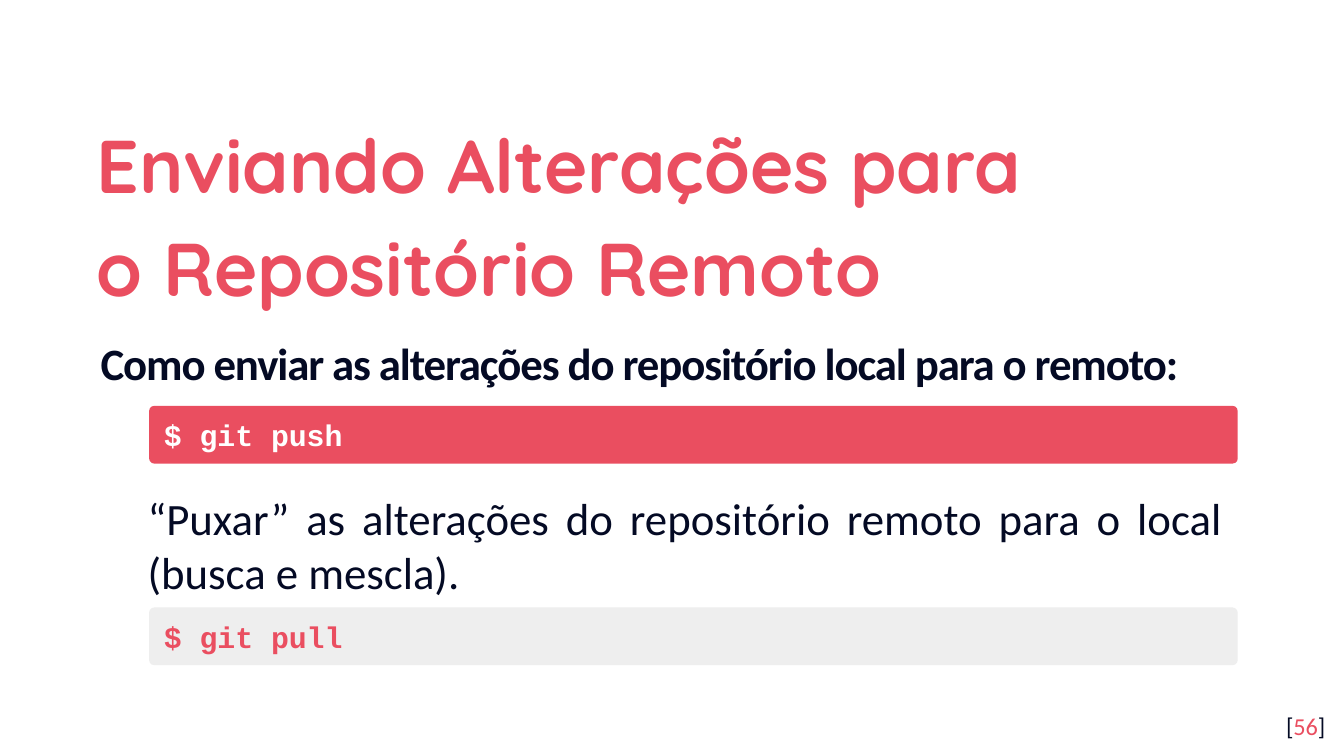
from pptx import Presentation
from pptx.dml.color import RGBColor
from pptx.enum import shapes, text
from pptx.util import Inches, Pt

CORAL = RGBColor(0xEA, 0x4E, 0x60)
NAVY = RGBColor(0x04, 0x0A, 0x24)
GRAY = RGBColor(0xEE, 0xEE, 0xEE)
WHITE = RGBColor(0xFF, 0xFF, 0xFF)


def set_font(font, name, size, color, bold=False):
    font.name, font.size, font.bold = name, Pt(size), bold
    font.color.rgb = color


def set_frame(frame, anchor, inset=0.1):
    frame.word_wrap = True
    frame.auto_size = text.MSO_AUTO_SIZE.NONE
    frame.vertical_anchor = anchor
    frame.margin_left = frame.margin_right = Inches(0.1)
    frame.margin_top = frame.margin_bottom = Inches(inset)


def add_title(slide, left, top, width, height, wording):
    title = slide.shapes.title
    title.left, title.top = Inches(left), Inches(top)
    title.width, title.height = Inches(width), Inches(height)
    set_frame(title.text_frame, text.MSO_ANCHOR.MIDDLE)
    paragraph = title.text_frame.paragraphs[0]
    paragraph.text = wording
    paragraph.alignment = text.PP_ALIGN.LEFT
    paragraph.line_spacing = 1.15
    set_font(paragraph.font, "Quicksand", 40, CORAL, bold=True)


def add_explanation(slide, left, top, width, height, wording, bold=False, tracking=0):
    box = slide.shapes.add_textbox(Inches(left), Inches(top), Inches(width), Inches(height))
    set_frame(box.text_frame, text.MSO_ANCHOR.TOP, inset=0.05)
    paragraph = box.text_frame.paragraphs[0]
    paragraph.alignment = text.PP_ALIGN.JUSTIFY
    # Indent and letter spacing (hundredths of a point)
    properties = paragraph._p.get_or_add_pPr()
    properties.set("marL", str(Inches(0.08)))
    properties.set("indent", "0")
    run = paragraph.add_run()
    run.text = wording
    set_font(paragraph.font, "Calibri", 24, NAVY, bold)
    if tracking:
        run._r.get_or_add_rPr().set("spc", str(tracking))


def add_command(slide, left, top, width, height, command, fill, color):
    bar = slide.shapes.add_shape(shapes.MSO_SHAPE.ROUNDED_RECTANGLE, Inches(left),
                                 Inches(top), Inches(width), Inches(height))
    bar.adjustments[0] = 0.09
    bar.shadow.inherit = False
    bar.fill.solid()
    bar.fill.fore_color.rgb = fill
    bar.line.fill.background()
    set_frame(bar.text_frame, text.MSO_ANCHOR.MIDDLE, inset=0.05)
    paragraph = bar.text_frame.paragraphs[0]
    paragraph.text = command
    paragraph.alignment = text.PP_ALIGN.LEFT
    set_font(paragraph.font, "Courier New", 16, color, bold=True)


def add_page_number(slide, left, top, width, height, number):
    box = slide.shapes.add_textbox(Inches(left), Inches(top), Inches(width), Inches(height))
    set_frame(box.text_frame, text.MSO_ANCHOR.TOP)
    paragraph = box.text_frame.paragraphs[0]
    paragraph.alignment = text.PP_ALIGN.RIGHT
    for part, color in (("[", NAVY), (number, CORAL), ("]", NAVY)):
        run = paragraph.add_run()
        run.text = part
        set_font(run.font, "Calibri", 13, color)


def main():
    # Widescreen slide, 16:9
    presentation = Presentation()
    presentation.slide_width = Inches(10)
    presentation.slide_height = Inches(10 * 9 / 16)
    slide = presentation.slides.add_slide(presentation.slide_layouts[5])

    # Heading and page number
    add_title(slide, 0.62, 1.09, 7.26, 0.92, "Enviando Alterações para o Repositório Remoto")
    add_page_number(slide, 9.36, 5.19, 0.6, 0.43, "56")

    # Sending changes
    add_explanation(slide, 0.57, 2.45, 8.89, 0.5,
                    "Como enviar as alterações do repositório local para o remoto:",
                    bold=True, tracking=-60)
    add_command(slide, 1.11, 3.02, 8.1, 0.43, "$ git push", CORAL, WHITE)

    # Fetching changes
    add_explanation(slide, 0.92, 3.6, 8.27, 0.91,
                    "“Puxar” as alterações do repositório remoto para o local (busca e mescla).")
    add_command(slide, 1.11, 4.52, 8.1, 0.43, "$ git pull", GRAY, CORAL)

    presentation.save("out.pptx")


if __name__ == "__main__":
    main()
